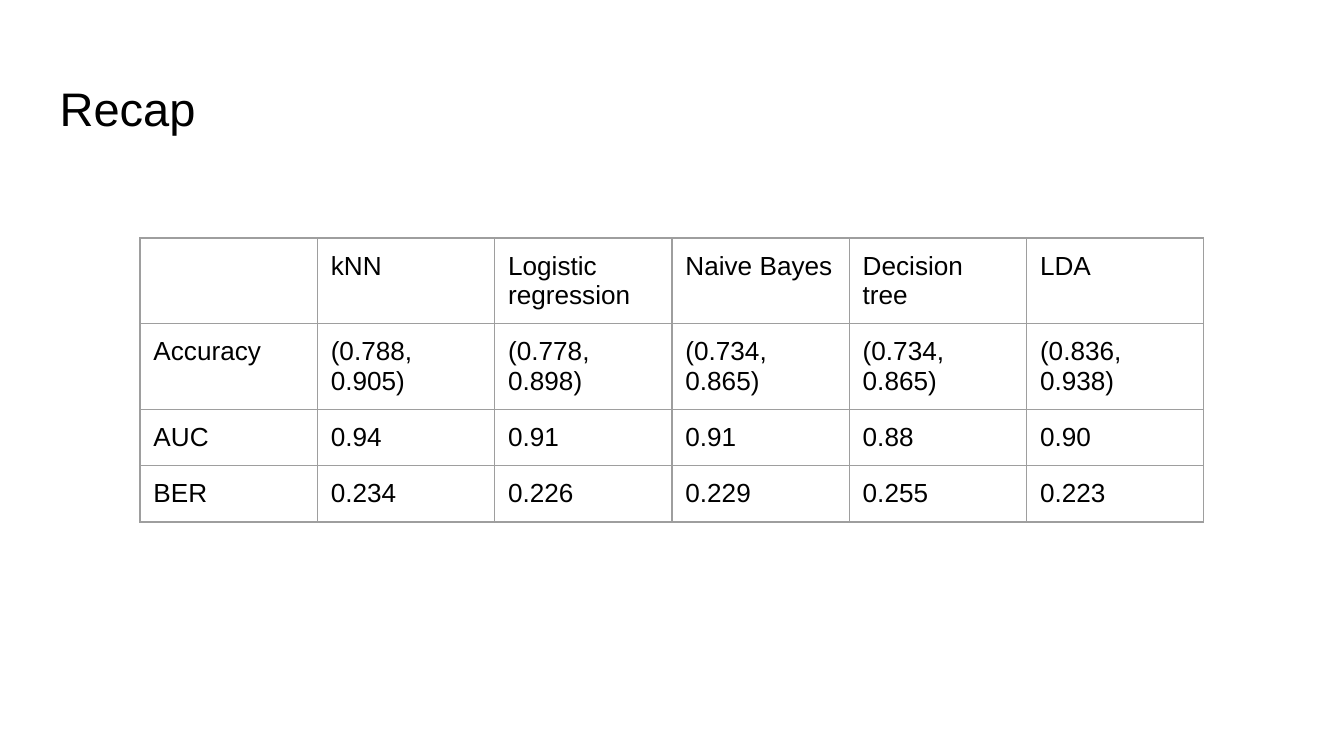
from dataclasses import dataclass

from lxml import etree
from pptx import Presentation
from pptx.dml.color import RGBColor
from pptx.enum.text import MSO_ANCHOR, MSO_AUTO_SIZE, PP_ALIGN
from pptx.oxml.ns import qn
from pptx.util import Pt

TOP = MSO_ANCHOR.TOP
LEFT = PP_ALIGN.LEFT
NO_AUTOFIT = MSO_AUTO_SIZE.NONE
TITLE_ONLY = 5
PX = 9525  # EMU, 96 px to the inch


@dataclass(frozen=True)
class Theme:
    font: str = "Arial"
    ink: str = "000000"
    paper: str = "FFFFFF"
    rule: str = "9E9E9E"
    title_size: float = 25.2
    cell_size: float = 14
    rule_width: float = 0.75
    inset: float = 7.2  # points


THEME = Theme()

SCORES = [
    ["", "kNN", "Logistic regression", "Naive Bayes", "Decision tree", "LDA"],
    ["Accuracy", "(0.788, 0.905)", "(0.778, 0.898)", "(0.734, 0.865)",
     "(0.734, 0.865)", "(0.836, 0.938)"],
    ["AUC", "0.94", "0.91", "0.91", "0.88", "0.90"],
    ["BER", "0.234", "0.226", "0.229", "0.255", "0.223"],
]


def px(length):
    return length * PX


def write(frame, text, size):
    paragraph = frame.paragraphs[0]
    paragraph.alignment = LEFT
    run = paragraph.add_run()
    run.text = text
    run.font.name = THEME.font
    run.font.size = Pt(size)
    run.font.bold = False
    run.font.color.rgb = RGBColor.from_string(THEME.ink)


def set_insets(holder):
    holder.margin_left = holder.margin_right = Pt(THEME.inset)
    holder.margin_top = holder.margin_bottom = Pt(THEME.inset)
    holder.vertical_anchor = TOP


def rule_cell(cell):
    """Draw the four borders; they must come before the cell's fill."""
    properties = cell._tc.get_or_add_tcPr()
    for position, side in enumerate(("a:lnL", "a:lnR", "a:lnT", "a:lnB")):
        line = etree.Element(qn(side), w=str(Pt(THEME.rule_width)))
        fill = etree.SubElement(line, qn("a:solidFill"))
        etree.SubElement(fill, qn("a:srgbClr"), val=THEME.rule)
        properties.insert(position, line)


def add_title(slide, box, text):
    title = slide.shapes.title
    title.left, title.top, title.width, title.height = map(px, box)
    frame = title.text_frame
    frame.word_wrap = True
    frame.auto_size = NO_AUTOFIT
    set_insets(frame)
    write(frame, text, THEME.title_size)


def add_score_table(slide, box, scores):
    table = slide.shapes.add_table(
        len(scores), len(scores[0]), *map(px, box)).table
    table.first_row = table.horz_banding = False
    for row, values in enumerate(scores):
        for column, value in enumerate(values):
            cell = table.cell(row, column)
            set_insets(cell)
            cell.fill.background()
            rule_cell(cell)
            if value:
                write(cell.text_frame, value, THEME.cell_size)


def main():
    deck = Presentation()
    deck.slide_width, deck.slide_height = px(960), px(540)
    slide = deck.slides.add_slide(deck.slide_layouts[TITLE_ONLY])
    background = slide.background.fill
    background.solid()
    background.fore_color.rgb = RGBColor.from_string(THEME.paper)

    # Heading
    add_title(slide, (33, 47, 894, 60), "Recap")

    # Classifier scores; wrapped rows grow beyond their even height
    add_score_table(slide, (100, 170, 760, 4 * 40), SCORES)

    deck.save("out.pptx")


if __name__ == "__main__":
    main()
